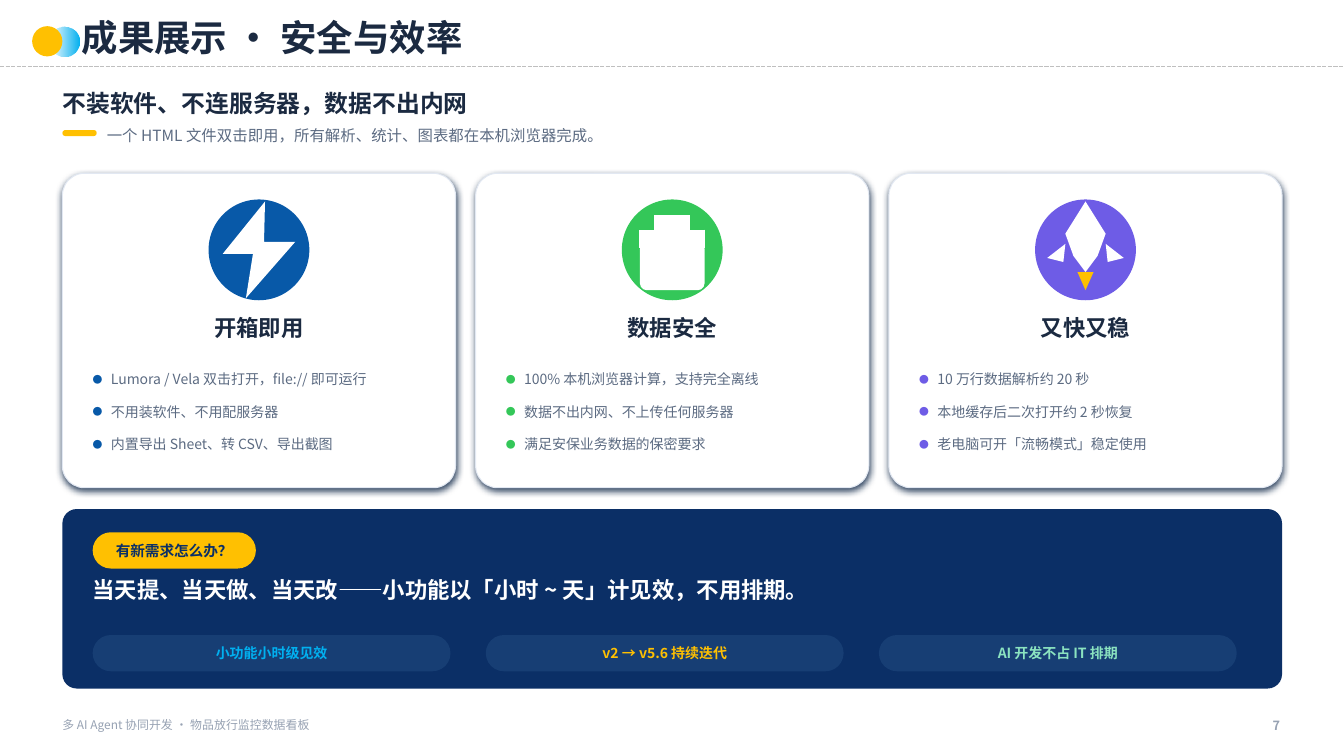
from lxml import etree
from pptx import Presentation
from pptx.dml.color import RGBColor
from pptx.enum.dml import MSO_LINE
from pptx.enum.shapes import MSO_CONNECTOR, MSO_SHAPE as Kind
from pptx.enum.text import MSO_ANCHOR as Anchor, MSO_AUTO_SIZE as Fit, PP_ALIGN as Align
from pptx.oxml.ns import qn
from pptx.util import Pt

FACE = "Noto Sans CJK SC"
WHITE = RGBColor(0xFF, 0xFF, 0xFF)
INK = RGBColor(0x1B, 0x2A, 0x41)
SLATE = RGBColor(0x5C, 0x6B, 0x82)
MIST = RGBColor(0x97, 0xA2, 0xB3)
RULE = RGBColor(0xBF, 0xBF, 0xBF)
EDGE = RGBColor(0xE2, 0xE8, 0xF2)
SHADE = RGBColor(0x0F, 0x27, 0x47)
GOLD = RGBColor(0xFF, 0xC0, 0x01)
CYAN = RGBColor(0x01, 0xB0, 0xF0)
BLUE = RGBColor(0x08, 0x59, 0xA8)
GREEN = RGBColor(0x34, 0xC7, 0x59)
VIOLET = RGBColor(0x6E, 0x5C, 0xE6)
NAVY = RGBColor(0x0B, 0x2F, 0x66)
STEEL = RGBColor(0x17, 0x3E, 0x74)
MINT = RGBColor(0x8B, 0xE3, 0xC0)

TITLE = dict(size=Pt(26), bold=True, color=INK)
LEAD = dict(size=Pt(17), bold=True, color=INK)
NOTE = dict(size=Pt(11), bold=False, color=SLATE)
NAME = dict(size=Pt(16), bold=True, color=INK)
ITEM = dict(size=Pt(10), bold=False, color=SLATE)
ASK = dict(size=Pt(10.5), bold=True, color=NAVY)
CLAIM = dict(size=Pt(16), bold=True, color=WHITE)
PILL = dict(size=Pt(10), bold=True)
FOOT = dict(size=Pt(8.5), bold=False, color=MIST)
PAGE = dict(size=Pt(9), bold=True, color=MIST)


def tag(root, name, **attrs):
    return etree.SubElement(root, qn(name), attrs)


def write(para, text, form, align=Align.LEFT):
    para.alignment, para.space_before = align, Pt(0)
    run = para.add_run()
    run.text = text
    run.font.name = FACE
    for key, val in form.items():
        if key == "color":
            run.font.color.rgb = val
        else:
            setattr(run.font, key, val)
    tag(run._r.get_or_add_rPr(), "a:ea", typeface=FACE)


def frame(shape, anchor=Anchor.TOP):
    body = shape.text_frame
    form = dict(margin_left=0, margin_top=0, margin_right=0, margin_bottom=0,
                word_wrap=True, auto_size=Fit.NONE, vertical_anchor=anchor)
    for key, val in form.items():
        setattr(body, key, val)
    return body


def place(shape, box):
    for key, val in zip(("left", "top", "width", "height"), box):
        setattr(shape, key, Pt(val))


def label(slide, box, text, form, align=Align.LEFT, anchor=Anchor.TOP):
    shape = slide.shapes.add_textbox(*map(Pt, box))
    write(frame(shape, anchor).paragraphs[0], text, form, align)


def paint(shape, color):
    shape.shadow.inherit = False
    shape.fill.solid()
    shape.fill.fore_color.rgb = color
    shape.line.fill.background()
    return shape


def block(slide, kind, box, color, bend=None):
    shape = slide.shapes.add_shape(kind, *map(Pt, box))
    if bend is not None:
        shape.adjustments[0] = bend
    return paint(shape, color)


def badge(slide, box, text, form, color):
    shape = block(slide, Kind.ROUNDED_RECTANGLE, box, color, 0.5)
    write(frame(shape, Anchor.MIDDLE).paragraphs[0], text, form, Align.CENTER)


def stroke(slide, ends, color, width):
    line = slide.shapes.add_connector(MSO_CONNECTOR.STRAIGHT, *map(Pt, ends))
    line.line.color.rgb, line.line.width = color, Pt(width)
    tag(line._element.spPr, "a:effectLst")
    return line


def poly(slide, box, dots, color):
    """Draw an outline whose dots are percentages of the box."""
    x, y, w, h = box
    spots = [(Pt(x + w * a / 100), Pt(y + h * b / 100)) for a, b in dots]
    path = slide.shapes.build_freeform(*spots[0], scale=1.0)
    path.add_line_segments(spots[1:], close=True)
    paint(path.convert_to_shape(), color)


def bolt(slide, box):
    poly(slide, box, [(56, 2), (14, 54), (44, 54), (37, 98), (86, 42), (55, 42)], WHITE)


def lock(slide, box):
    x, y, w, h = box
    left, right, top, low = x + 0.32 * w, x + 0.68 * w, y + 0.3 * h, y + 0.48 * h
    for ends in ((left, top, left, low), (right, top, right, low), (left, top, right, top)):
        stroke(slide, ends, WHITE, 20.9)
    block(slide, Kind.ROUNDED_RECTANGLE, (x + 0.18 * w, y + 0.42 * h, 0.64 * w, 0.48 * h), WHITE, 0.14)


def rocket(slide, box):
    fin = [(30, 44), (12, 58), (28, 62)]
    poly(slide, box, [(50, 2), (70, 34), (62, 56), (50, 72), (38, 56), (30, 34)], WHITE)
    poly(slide, box, fin, WHITE)
    poly(slide, box, [(100 - a, b) for a, b in fin], WHITE)
    poly(slide, box, [(42, 72), (50, 90), (58, 72)], GOLD)


def head(slide, box):
    x, y, w, h = box
    line = stroke(slide, (x, y + h, x + w, y + h), RULE, 1)
    line.line.dash_style = MSO_LINE.SQUARE_DOT
    glow = block(slide, Kind.OVAL, (x + 35.3, y + 18.7, 21.6, 21.6), CYAN)
    glow.fill.gradient()
    glow.fill.gradient_angle = 0
    for stop in glow.fill.gradient_stops:
        stop.color.rgb = CYAN
    first = glow._element.spPr.find(".//" + qn("a:srgbClr"))
    tag(first, "a:alpha", val="0")
    block(slide, Kind.OVAL, (x + 23, y + 18.7, 21.6, 21.6), GOLD)
    title = slide.shapes.title
    place(title, (x + 58.3, y + 8.6, 576, 36))
    write(frame(title, Anchor.MIDDLE).paragraphs[0], "成果展示 · 安全与效率", TITLE)


def intro(slide, box):
    x, y, w, h = box
    lead = slide.placeholders[1]
    place(lead, (x, y, w, 28.8))
    write(frame(lead, Anchor.MIDDLE).paragraphs[0], "不装软件、不连服务器，数据不出内网", LEAD)
    block(slide, Kind.ROUNDED_RECTANGLE, (x, y + 33.9, 24.5, 4.3), GOLD, 0.5)
    label(slide, (x + 31.7, y + 27.4, w - 36, 20.2),
          "一个 HTML 文件双击即用，所有解析、统计、图表都在本机浏览器完成。", NOTE, anchor=Anchor.MIDDLE)


def card(slide, box, hold, color, icon, name, items):
    x, y, w, h = box
    base = block(slide, Kind.ROUNDED_RECTANGLE, box, WHITE, 0.07)
    base.line.color.rgb, base.line.width = EDGE, Pt(0.75)
    cast = tag(base._element.spPr.find(qn("a:effectLst")), "a:outerShdw", blurRad=str(Pt(5)),
               dist=str(Pt(1.8)), dir="5400000", algn="ctr", rotWithShape="0")
    tag(tag(cast, "a:srgbClr", val=str(SHADE)), "a:alpha", val="84000")
    disc = (x + w / 2 - 36, y + 18.7, 72, 72)
    block(slide, Kind.OVAL, disc, color)
    icon(slide, disc)
    label(slide, (x, y + 100.8, w, 28.8), name, NAME, Align.CENTER)
    place(hold, (x + 21.6, y + 139.7, w - 41, 80))
    slide.shapes.element.append(hold.element)
    body = frame(hold)
    for i, text in enumerate(items):
        para = body.add_paragraph() if i else body.paragraphs[0]
        form = para._p.get_or_add_pPr()
        form.set("marL", str(Pt(13)))
        form.set("indent", str(-Pt(13)))
        tag(tag(form, "a:buClr"), "a:srgbClr", val=str(color))
        tag(form, "a:buSzPct", val="70000")
        tag(form, "a:buFont", typeface=FACE)
        tag(form, "a:buChar", char="●")
        write(para, text, ITEM)
        para.line_spacing = 1.1
        para.space_before = Pt(10 if i else 0)


def plan(slide, box):
    x, y, w, h = box
    block(slide, Kind.ROUNDED_RECTANGLE, box, NAVY, 0.08)
    x += 21.6
    badge(slide, (x, y + 16.6, 116.6, 25.9), "有新需求怎么办？", ASK, GOLD)
    label(slide, (x, y + 48.2, w - 43.2, 36),
          "当天提、当天做、当天改——小功能以「小时 ~ 天」计见效，不用排期。", CLAIM)
    pills = (("小功能小时级见效", CYAN), ("v2 → v5.6 持续迭代", GOLD), ("AI 开发不占 IT 排期", MINT))
    for i, (text, color) in enumerate(pills):
        badge(slide, (x + 280.8 * i, y + 90, 255.6, 25.9), text, dict(PILL, color=color), STEEL)


def foot(slide, box):
    x, y, w, h = box
    label(slide, (x, y, 540, h), "多 AI Agent 协同开发 · 物品放行监控数据看板", FOOT)
    label(slide, (x + w - 57.6, y, 57.6, h), "7", PAGE, Align.RIGHT)


def main():
    deck = Presentation()
    deck.slide_width, deck.slide_height = Pt(960), Pt(540)
    slide = deck.slides.add_slide(deck.slide_layouts.get_by_name("Comparison"))
    cards = (
        (BLUE, bolt, "开箱即用", ("Lumora / Vela 双击打开，file:// 即可运行",
                              "不用装软件、不用配服务器", "内置导出 Sheet、转 CSV、导出截图")),
        (GREEN, lock, "数据安全", ("100% 本机浏览器计算，支持完全离线",
                               "数据不出内网、不上传任何服务器", "满足安保业务数据的保密要求")),
        (VIOLET, rocket, "又快又稳", ("10 万行数据解析约 20 秒",
                                  "本地缓存后二次打开约 2 秒恢复", "老电脑可开「流畅模式」稳定使用")))
    head(slide, (0, 0, 960, 47.5))
    intro(slide, (44.6, 59, 871.2, 48))
    for i, parts in enumerate(cards):
        card(slide, (44.6 + 295.2 * i, 123.8, 280.8, 224.6), slide.placeholders[i + 2], *parts)
    plan(slide, (44.6, 363.6, 871.2, 128.2))
    foot(slide, (44.6, 512.6, 869.8, 20.2))
    deck.save("out.pptx")


if __name__ == "__main__":
    main()
